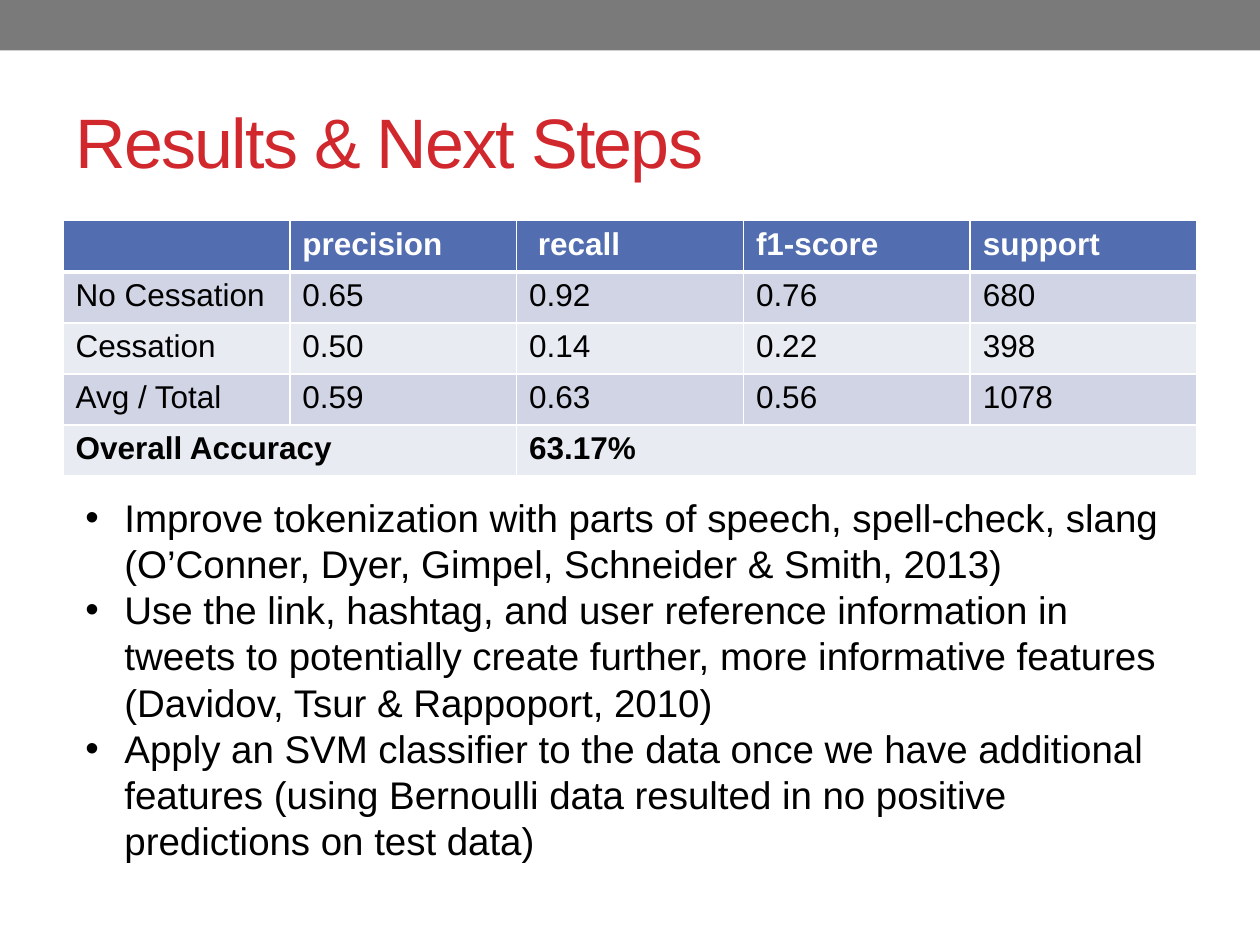
from lxml import etree
from pptx import Presentation
from pptx import util as u
from pptx.dml import color
from pptx.enum import shapes, text
from pptx.oxml import ns

FONT = "Arial"
WHITE, BLACK, RED = "FFFFFF", "000000", "D1282E"
HEADER_BLUE, BANDS = "526DB0", ("D1D4E4", "E9EBF2")

SCORES = [
    ["", "precision", " recall", "f1-score", "support"],
    ["No Cessation", "0.65", "0.92", "0.76", "680"],
    ["Cessation", "0.50", "0.14", "0.22", "398"],
    ["Avg / Total", "0.59", "0.63", "0.56", "1078"],
    ["Overall Accuracy", "", "63.17%", "", ""],
]
NEXT_STEPS = [
    "Improve tokenization with parts of speech, spell-check, slang "
    "(O’Conner, Dyer, Gimpel, Schneider & Smith, 2013)",
    "Use the link, hashtag, and user reference information in tweets to "
    "potentially create further, more informative features "
    "(Davidov, Tsur & Rappoport, 2010)",
    "Apply an SVM classifier to the data once we have additional features "
    "(using Bernoulli data resulted in no positive predictions on test data)",
]


def rgb(hex_string):
    return color.RGBColor.from_string(hex_string)


def box(left, top, width, height):
    return [u.Cm(length) for length in (left, top, width, height)]


def add_run(paragraph, words, size, hex_string, bold=False):
    run = paragraph.add_run()
    run.text = words
    run.font.name, run.font.size, run.font.bold = FONT, u.Pt(size), bold
    run.font.color.rgb = rgb(hex_string)
    return run


def add_frame(slide, area, anchor):
    frame = slide.shapes.add_textbox(*area).text_frame
    frame.word_wrap = True
    frame.vertical_anchor = anchor
    return frame


def add_band(slide, area, hex_string):
    band = slide.shapes.add_shape(shapes.MSO_SHAPE.RECTANGLE, *area)
    band.shadow.inherit = False
    band.fill.solid()
    band.fill.fore_color.rgb = rgb(hex_string)
    band.line.fill.background()


def add_title(slide, area, words):
    frame = add_frame(slide, area, text.MSO_ANCHOR.MIDDLE)
    heading = add_run(frame.paragraphs[0], words, 40, RED)
    heading.font._element.set("spc", "-100")


def set_borders(cell, bottom):
    properties = cell._tc.get_or_add_tcPr()
    for side, points in (("L", 1), ("R", 1), ("T", 1), ("B", bottom)):
        edge = etree.SubElement(properties, ns.qn("a:ln" + side), w=str(u.Pt(points)))
        fill = etree.SubElement(edge, ns.qn("a:solidFill"))
        etree.SubElement(fill, ns.qn("a:srgbClr"), val=WHITE)


def add_scores(slide, area, rows):
    table = slide.shapes.add_table(len(rows), len(rows[0]), *area).table
    last = len(rows) - 1
    for r, row in enumerate(rows):
        header = r == 0
        for c, words in enumerate(row):
            cell = table.cell(r, c)
            set_borders(cell, 3 if header else 1)
            cell.fill.solid()
            cell.fill.fore_color.rgb = rgb(HEADER_BLUE if header else BANDS[(r - 1) % 2])
            if words:
                add_run(cell.text_frame.paragraphs[0], words, 18,
                        WHITE if header else BLACK, bold=r in (0, last))
    # The accuracy row has one wide label and one wide value
    for first, final in ((0, 1), (2, 4)):
        table.cell(last, first).merge(table.cell(last, final))


def add_bullets(slide, area, items):
    frame = add_frame(slide, area, text.MSO_ANCHOR.TOP)
    for i, words in enumerate(items):
        item = frame.add_paragraph() if i else frame.paragraphs[0]
        properties = item._p.get_or_add_pPr()
        properties.set("marL", str(u.Cm(0.79)))
        properties.set("indent", str(-u.Cm(0.79)))
        etree.SubElement(properties, ns.qn("a:buFont"), typeface=FONT)
        etree.SubElement(properties, ns.qn("a:buChar"), char="•")
        add_run(item, words, 22, BLACK)


def main():
    deck = Presentation()
    deck.slide_width, deck.slide_height = u.Cm(25.4), u.Cm(19.05)
    slide = deck.slides.add_slide(deck.slide_layouts[6])

    # Top band and title
    add_band(slide, box(0, 0, 25.4, 1.02), "7A7A7A")
    add_title(slide, box(1.27, 1.47, 22.86, 2.74), "Results & Next Steps")

    # Results
    add_scores(slide, box(1.27, 4.45, 22.86, 5.15), SCORES)

    # Next steps
    add_bullets(slide, box(1.47, 9.83, 22.66, 7.77), NEXT_STEPS)

    deck.save("out.pptx")


main()
